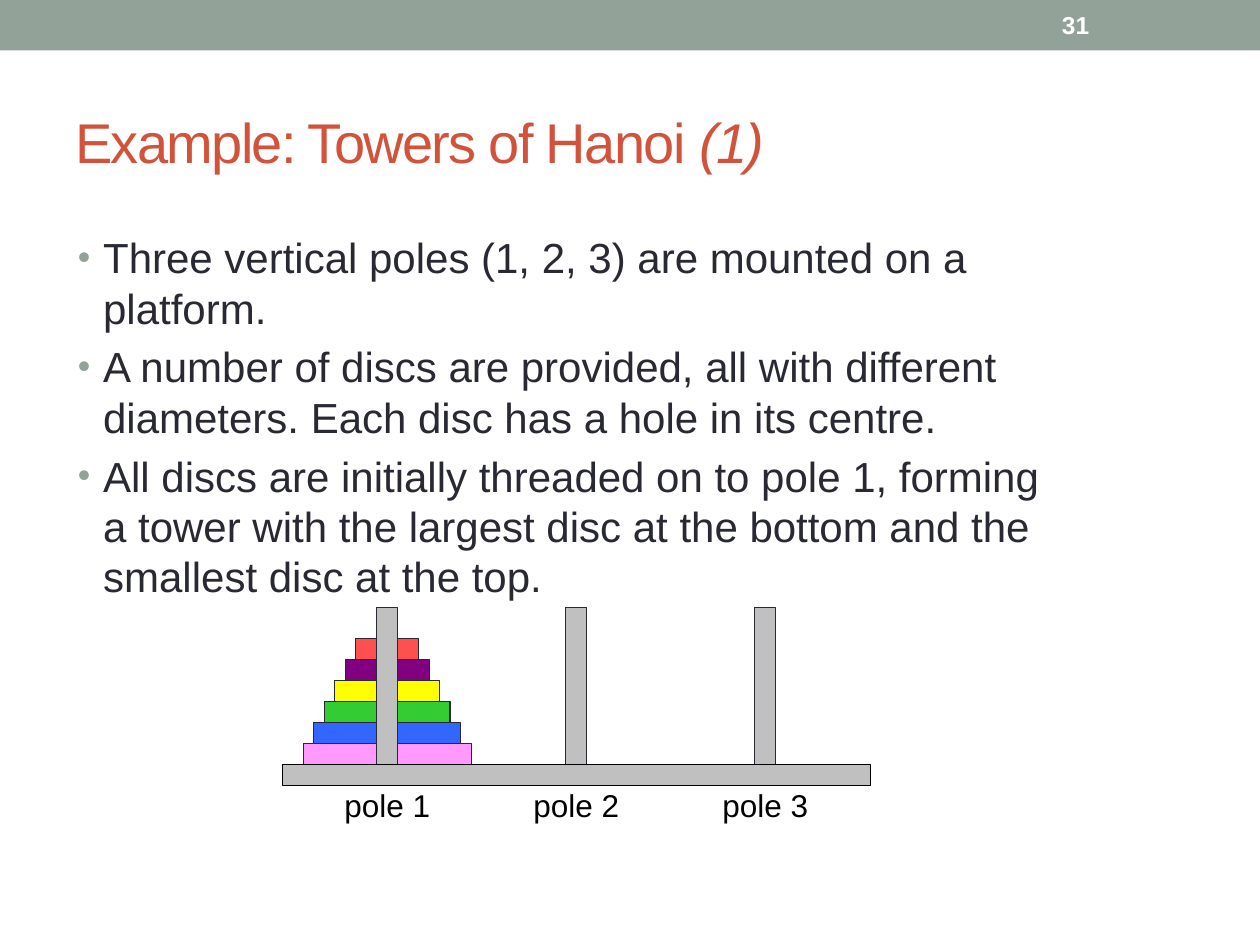
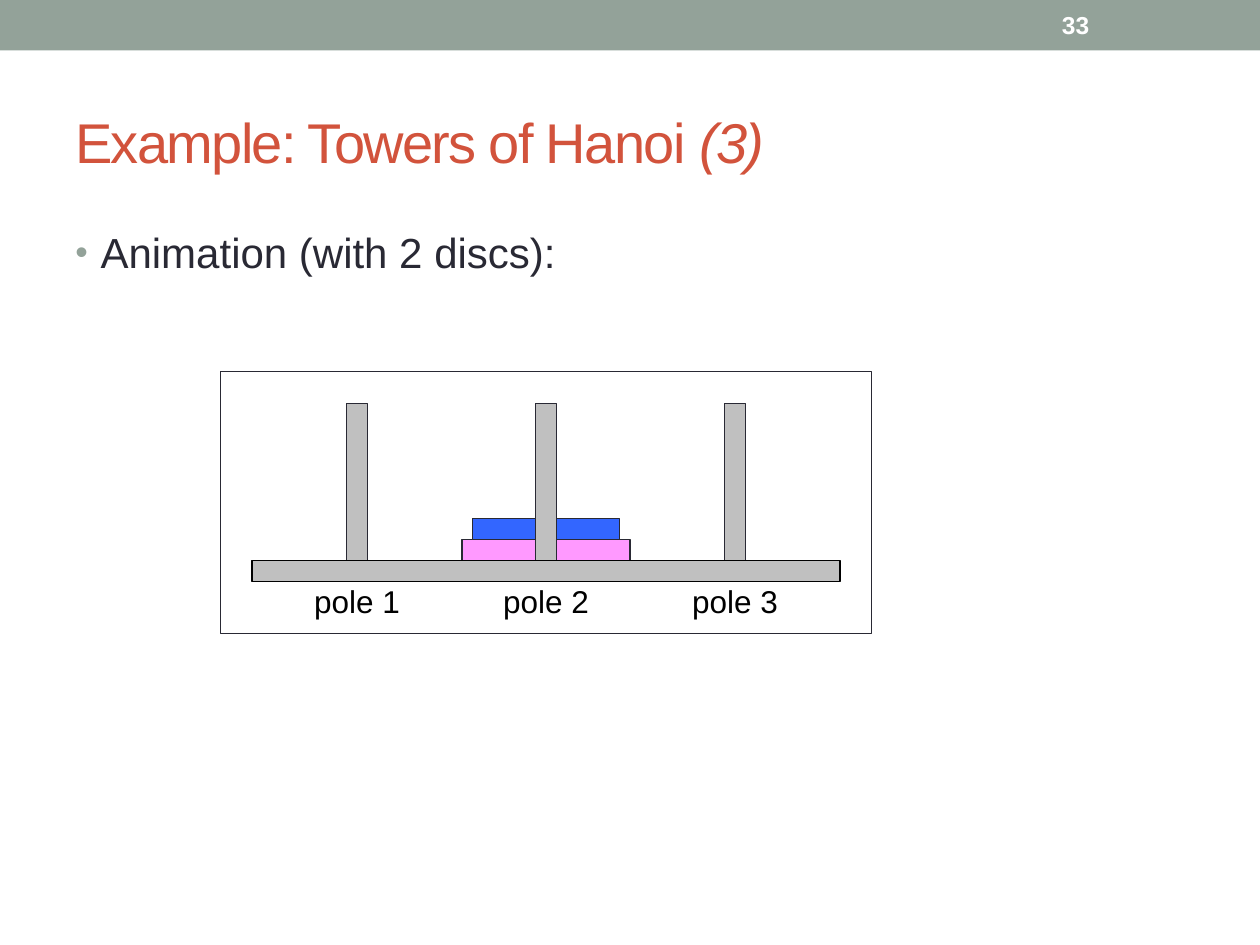
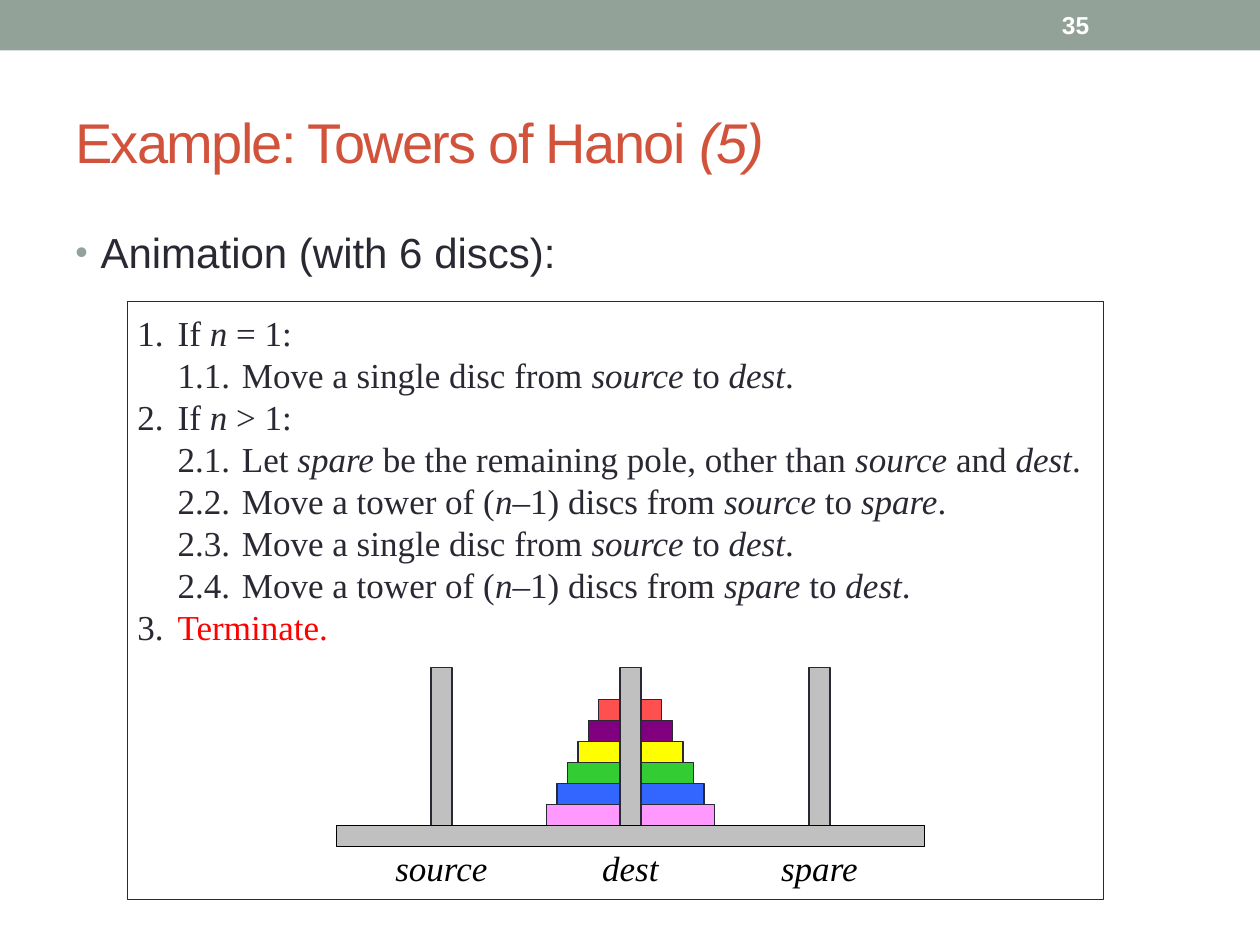
from lxml import etree
from pptx import Presentation
from pptx.dml.color import RGBColor
from pptx.enum.shapes import MSO_SHAPE
from pptx.enum.text import MSO_ANCHOR, PP_ALIGN
from pptx.oxml.ns import qn
from pptx.util import Inches, Pt

COLORS = {"band": "93A299", "title": "D2533C", "text": "292934", "white": "FFFFFF",
          "black": "000000", "wood": "C0C0C0", "active": "FF0000"}
# Discs from the largest to the smallest
DISCS = ["FF99FF", "3366FF", "33CC33", "FFFF00", "800080", "FF5050"]
SANS, SERIF = "Arial", "Times New Roman"

UNIT = 1 / 6          # thickness of discs, poles and platform
POLES = ["pole 1", "pole 2", "pole 3"]

# Asterisks enclose italic words
ALGORITHM = [
    "1.\tIf *n* = 1:",
    "\t1.1.\tMove a single disc from *source* to *dest*.",
    "2.\tIf *n* > 1:",
    "\t2.1.\tLet *spare* be the remaining pole, other than *source* and *dest*.",
    "\t2.2.\tMove a tower of (*n*–1) discs from *source* to *spare*.",
    "\t2.3.\tMove a single disc from *source* to *dest*.",
    "\t2.4.\tMove a tower of (*n*–1) discs from *spare* to *dest*.",
    "3.\t",
]
ACTIVE_STEP = "Terminate."
TAB_STOPS = [0.32, 0.83]

SLIDES = [
    {"number": 31, "part": 1, "body_at": (0.52, 1.79, 7.88, 5.04),
     "bullets": [
         "Three vertical poles (1, 2, 3) are mounted on a platform.",
         "A number of discs are provided, all with different diameters. "
         "Each disc has a hole in its centre.",
         "All discs are initially threaded on to pole 1, forming a tower with the "
         "largest disc at the bottom and the smallest disc at the top."],
     "platform": (2.24, 6.07), "discs": 6, "tower_pole": 0, "labels": POLES},
    {"number": 33, "part": 3, "body_at": (0.5, 1.75, 9, 5.33),
     "bullets": ["Animation (with 2 discs):"],
     "frame": (1.75, 2.95, 5.17, 2.08),
     "platform": (2, 4.45), "discs": 2, "tower_pole": 1, "labels": POLES},
    {"number": 35, "part": 5, "body_at": (0.5, 1.75, 9, 5.33),
     "bullets": ["Animation (with 6 discs):"],
     "frame": (1.01, 2.39, 7.75, 4.75), "algorithm_at": (1.09, 2.47, 7.58, 2.67),
     "platform": (2.67, 6.55), "discs": 6, "tower_pole": 1,
     "labels": ["*source*", "*dest*", "*spare*"], "label_font": (SERIF, 20)},
]


def add_rect(slide, left, top, width, height, fill, line=None):
    """Draw a flat rectangle, outlined when a line colour is given."""
    rect = slide.shapes.add_shape(MSO_SHAPE.RECTANGLE, Inches(left), Inches(top),
                                  Inches(width), Inches(height))
    rect.shadow.inherit = False
    rect.fill.solid()
    rect.fill.fore_color.rgb = RGBColor.from_string(fill)
    if line:
        rect.line.color.rgb = RGBColor.from_string(line)
        rect.line.width = Pt(0.75)
    else:
        rect.line.fill.background()


def add_box(slide, at, anchor=MSO_ANCHOR.TOP, inset=True):
    """Add a wrapping text box and return its text frame."""
    frame = slide.shapes.add_textbox(*map(Inches, at)).text_frame
    frame.word_wrap = True
    frame.vertical_anchor = anchor
    if not inset:
        frame.margin_left = frame.margin_right = 0
        frame.margin_top = frame.margin_bottom = 0
    return frame


def add_text(paragraph, text, font, size, color, bold=False, spacing=None):
    """Append text, switching italics at every asterisk."""
    for i, part in enumerate(text.split("*")):
        if not part:
            continue
        run = paragraph.add_run()
        run.text = part
        run.font.name, run.font.size = font, Pt(size)
        run.font.bold, run.font.italic = bold, i % 2 == 1
        run.font.color.rgb = RGBColor.from_string(color)
        if spacing:
            run.font._element.set("spc", str(spacing))


def set_bullet(paragraph):
    """Give a paragraph the hanging round bullet and its space before."""
    props = paragraph._p.get_or_add_pPr()
    props.set("marL", str(Inches(0.2)))
    props.set("indent", str(-Inches(0.2)))
    before = etree.SubElement(props, qn("a:spcBef"))
    etree.SubElement(before, qn("a:spcPct"), val="20000")
    color = etree.SubElement(props, qn("a:buClr"))
    etree.SubElement(color, qn("a:srgbClr"), val=COLORS["band"])
    etree.SubElement(props, qn("a:buSzPct"), val="85000")
    etree.SubElement(props, qn("a:buFont"), typeface=SANS)
    etree.SubElement(props, qn("a:buChar"), char="•")


def add_header(slide, number, part):
    """Draw the band, the slide number and the title."""
    add_rect(slide, 0, 0, 10, 0.4, COLORS["band"])
    frame = add_box(slide, (8.33, 0.02, 1.17, 0.36), MSO_ANCHOR.MIDDLE)
    add_text(frame.paragraphs[0], str(number), SANS, 14, COLORS["white"], bold=True)
    frame = add_box(slide, (0.5, 0.58, 9, 1.08), MSO_ANCHOR.MIDDLE)
    add_text(frame.paragraphs[0], f"Example: Towers of Hanoi *({part})*", SANS, 32,
             COLORS["title"], spacing=-100)


def add_bullets(slide, at, bullets):
    """Write the bulleted body text."""
    frame = add_box(slide, at)
    for i, text in enumerate(bullets):
        paragraph = frame.add_paragraph() if i else frame.paragraphs[0]
        set_bullet(paragraph)
        add_text(paragraph, text, SANS, 24, COLORS["text"])


def add_algorithm(slide, at):
    """Write the numbered steps on tab stops, the active one in red."""
    paragraph = add_box(slide, at, inset=False).paragraphs[0]
    tabs = etree.SubElement(paragraph._p.get_or_add_pPr(), qn("a:tabLst"))
    for stop in TAB_STOPS:
        etree.SubElement(tabs, qn("a:tab"), pos=str(Inches(stop)), algn="l")
    for i, step in enumerate(ALGORITHM):
        if i:
            paragraph.add_line_break()
        add_text(paragraph, step, SERIF, 20, COLORS["text"])
    add_text(paragraph, ACTIVE_STEP, SERIF, 20, COLORS["active"])


def add_towers(slide, platform, discs, tower_pole, labels, font=(SANS, 18)):
    """Draw the discs, the three poles, the platform and the pole labels."""
    left, top = platform
    centers = [left + (5 + 9 * i) * UNIT for i in range(len(labels))]
    for i, color in enumerate(DISCS[:discs]):
        width = (8 - i) * UNIT
        add_rect(slide, centers[tower_pole] - width / 2, top - (i + 1) * UNIT,
                 width, UNIT, color, COLORS["text"])
    for center in centers:
        add_rect(slide, center - UNIT / 2, top - 7.5 * UNIT, UNIT, 8 * UNIT,
                 COLORS["wood"], COLORS["text"])
    add_rect(slide, left, top, 28 * UNIT, UNIT, COLORS["wood"], COLORS["black"])
    for center, label in zip(centers, labels):
        frame = add_box(slide, (center - 0.41, top + UNIT, 0.82, font[1] / 60),
                        inset=False)
        frame.paragraphs[0].alignment = PP_ALIGN.CENTER
        add_text(frame.paragraphs[0], label, *font, COLORS["black"])


def main():
    """Build the slides and save them."""
    prs = Presentation()
    prs.slide_width, prs.slide_height = Inches(10), Inches(7.5)
    for content in SLIDES:
        slide = prs.slides.add_slide(prs.slide_layouts[6])
        add_header(slide, content["number"], content["part"])
        add_bullets(slide, content["body_at"], content["bullets"])
        if "frame" in content:
            add_rect(slide, *content["frame"], COLORS["white"], COLORS["text"])
        if "algorithm_at" in content:
            add_algorithm(slide, content["algorithm_at"])
        add_towers(slide, content["platform"], content["discs"], content["tower_pole"],
                   content["labels"], content.get("label_font", (SANS, 18)))
    prs.save("out.pptx")


main()
